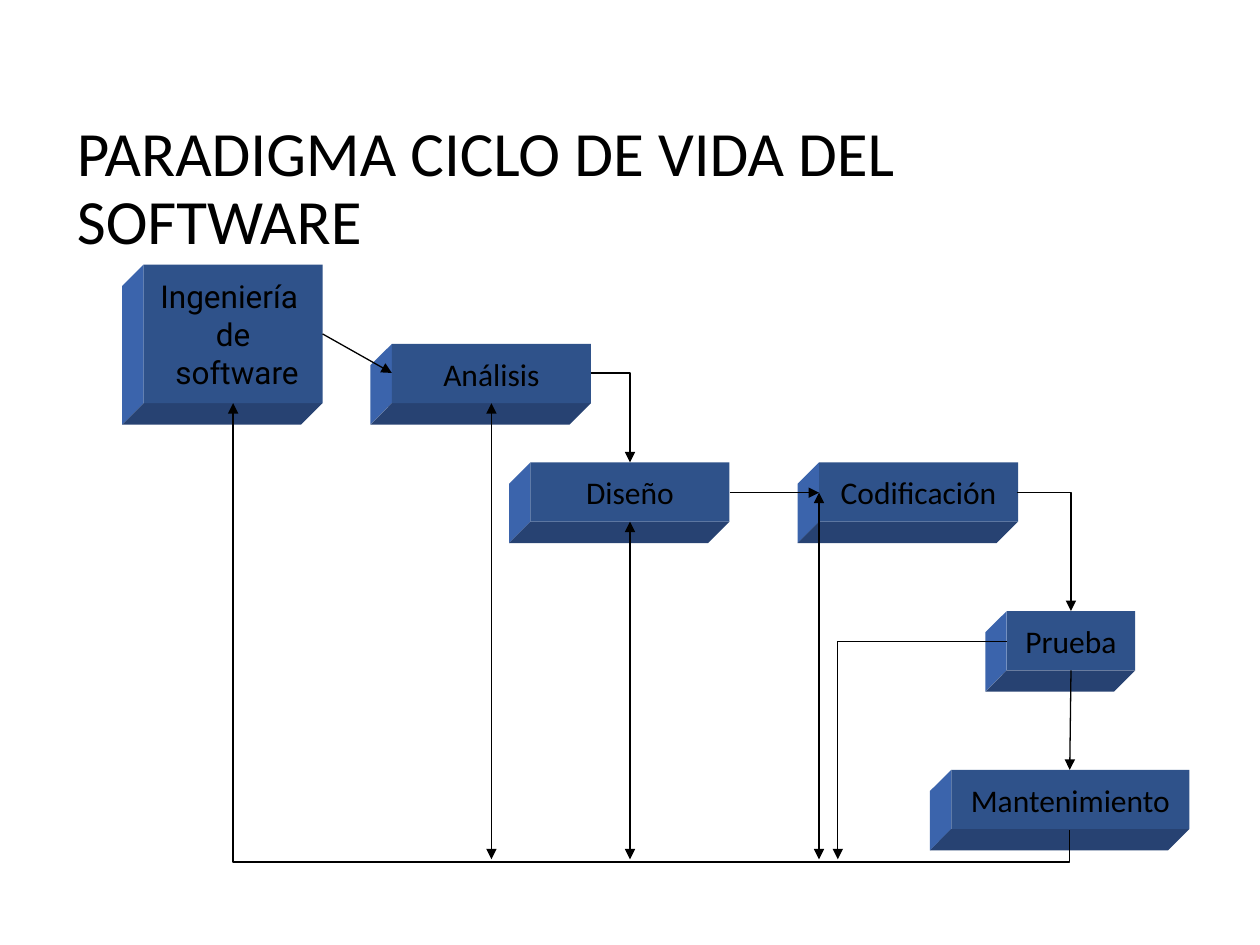
from lxml.etree import SubElement
from pptx import Presentation
from pptx.dml.color import RGBColor
from pptx.enum.shapes import MSO_CONNECTOR as Link, MSO_SHAPE as Shape
from pptx.enum.text import MSO_ANCHOR as Anchor, MSO_AUTO_SIZE as AutoSize, PP_ALIGN as Align
from pptx.oxml.ns import qn
from pptx.util import Inches, Pt

DEPTH = 0.17
BUS = 6.82
FRONT, SIDE, BASE = "2F528A", "3B64AC", "274272"
STAGES = [
    ("Ingeniería \nde\n software", (1.14, 2.1, 1.42, 1.1), "Roboto"),
    ("Análisis", (3.11, 2.73, 1.58, 0.47), "Calibri"),
    ("Diseño", (4.21, 3.67, 1.58, 0.47), "Calibri"),
    ("Codificación", (6.5, 3.67, 1.58, 0.47), "Calibri"),
    ("Prueba", (7.99, 4.85, 1.02, 0.47), "Calibri"),
    ("Mantenimiento", (7.55, 6.11, 1.89, 0.47), "Calibri"),
]


def color(value):
    """Turn a hex string into a colour."""
    return RGBColor.from_string(value)


def set_all(target, values):
    """Set each attribute named in a dict."""
    for name, value in values.items():
        setattr(target, name, value)


def paint(shape, fill):
    """Give a shape a flat fill without line or shadow."""
    shape.shadow.inherit = False
    shape.fill.solid()
    shape.fill.fore_color.rgb = color(fill)
    shape.line.fill.background()


def write(frame, text, font, size, frame_format, paragraph_format):
    """Write formatted text, one paragraph for each line."""
    set_all(frame, frame_format)
    frame.text = text
    for paragraph in frame.paragraphs:
        set_all(paragraph, paragraph_format)
        for run in paragraph.runs:
            set_all(run.font, {"name": font, "size": Pt(size)})
            run.font.color.rgb = color("000000")


def add_title(slide, box, text):
    """Place the slide title in its box."""
    title = slide.shapes.title
    set_all(title, dict(zip(("left", "top", "width", "height"), map(Inches, box))))
    write(title.text_frame, text, "Calibri", 36,
          {"vertical_anchor": Anchor.MIDDLE, "word_wrap": True, "auto_size": AutoSize.NONE},
          {"alignment": Align.LEFT, "line_spacing": 0.9})


def add_face(slide, points, fill):
    """Draw one slanted face of a block."""
    start, *rest = [(Inches(x), Inches(y)) for x, y in points]
    outline = slide.shapes.build_freeform(*start)
    outline.add_line_segments(rest, close=True)
    paint(outline.convert_to_shape(), fill)


def add_stage(slide, box, text, font):
    """Draw a block with its depth towards the lower left."""
    left, top, width, height = box
    right, bottom = left + width, top + height
    back, low = left - DEPTH, bottom + DEPTH
    add_face(slide, [(left, top), (left, bottom), (back, low), (back, top + DEPTH)], SIDE)
    add_face(slide, [(left, bottom), (right, bottom), (right - DEPTH, low), (back, low)], BASE)
    front = slide.shapes.add_shape(Shape.RECTANGLE, *map(Inches, box))
    paint(front, FRONT)
    write(front.text_frame, text, font, 18,
          {"vertical_anchor": Anchor.MIDDLE, "word_wrap": False},
          {"alignment": Align.CENTER})


def add_arrow(slide, start, end, kind=Link.STRAIGHT, ends=("tailEnd",)):
    """Draw a thin black arrow between two points."""
    arrow = slide.shapes.add_connector(kind, *map(Inches, (*start, *end)))
    arrow.line.width = Pt(0.75)
    arrow.line.color.rgb = color("000000")
    for name in ends:
        SubElement(arrow.line._get_or_add_ln(), qn(f"a:{name}"), type="triangle")
    SubElement(arrow._element.spPr, qn("a:effectLst"))
    return arrow


def add_corner(slide, start, end):
    """Draw an arrow that runs across and then down."""
    corner = add_arrow(slide, start, end, Link.ELBOW)
    corner._element.spPr.find(qn("a:prstGeom")).set("prst", "bentConnector2")


def add_feedback(slide, start, end, drop):
    """Draw an arrow that drops, runs left and rises to its end."""
    middle_x, middle_y = (start[0] + end[0]) / 2, (start[1] + end[1]) / 2
    across, rise = (start[0] - end[0]) / 2, (start[1] - end[1]) / 2
    loop = add_arrow(slide, (middle_x - rise, middle_y + across),
                     (middle_x + rise, middle_y - across), Link.ELBOW)
    properties = loop._element.spPr
    properties.find(qn("a:xfrm")).set("rot", str(270 * 60000))
    geometry = properties.find(qn("a:prstGeom"))
    guides = geometry.find(qn("a:avLst"))
    if guides is None:
        guides = SubElement(geometry, qn("a:avLst"))
    share = round(-drop / (2 * rise) * 100000)
    SubElement(guides, qn("a:gd"), name="adj1", fmla=f"val {share}")


def add_flow(slide):
    """Link the stages and their feedback lines."""
    for start, end in [((2.56, 2.65), (3.11, 2.96)), ((8.5, 5.32), (8.49, 6.11)),
                       ((5.79, 3.91), (6.5, 3.91))]:
        add_arrow(slide, start, end)
    for start, end in [((4.69, 2.96), (5, 3.67)), ((8.07, 3.91), (8.5, 4.85)),
                       ((7.99, 5.09), (6.65, BUS))]:
        add_corner(slide, start, end)
    add_feedback(slide, (8.49, 6.59), (1.85, 3.2), 0.25)
    for x, top in [(5, 4.14), (6.5, 3.91), (3.9, 3.2)]:
        add_arrow(slide, (x, top), (x, BUS), ends=("headEnd", "tailEnd"))


def main():
    """Build and save the slide."""
    deck = Presentation()
    set_all(deck, {"slide_width": Inches(10), "slide_height": Inches(7.5)})
    slide = deck.slides.add_slide(deck.slide_layouts[5])
    add_title(slide, (0.51, 0.92, 9, 1.17), "PARADIGMA CICLO DE VIDA DEL SOFTWARE")
    for text, box, font in STAGES:
        add_stage(slide, box, text, font)
    add_flow(slide)
    deck.save("out.pptx")


main()
